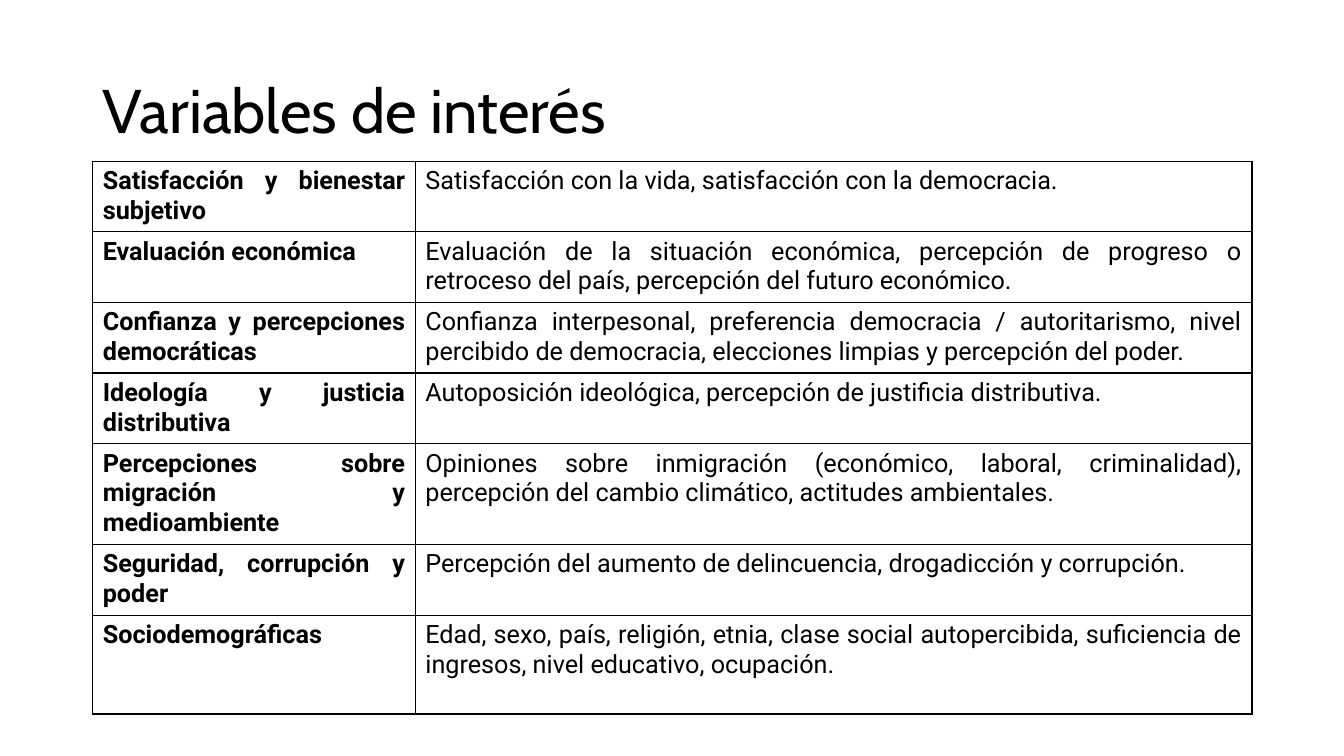
"""Build a slide that lists the survey variables of interest by theme."""
from lxml.etree import SubElement
from pptx import Presentation
from pptx.dml.color import RGBColor
from pptx.enum.text import MSO_ANCHOR as Anchor, PP_ALIGN as Align
from pptx.oxml.ns import qn
from pptx.util import Pt

COLORS = {"ink": "000000", "paper": "FFFFFF"}
LEFT, WIDTH = 66.25, 828
THEME_WIDTH = 230.4
LINE_HEIGHT, CELL_PADDING = 21.15, 7.2

VARIABLES = [
    ("Satisfacción y bienestar subjetivo",
     "Satisfacción con la vida, satisfacción con la democracia.", 2),
    ("Evaluación económica",
     "Evaluación de la situación económica, percepción de progreso o "
     "retroceso del país, percepción del futuro económico.", 2),
    ("Confianza y percepciones democráticas",
     "Confianza interpesonal, preferencia democracia / autoritarismo, nivel "
     "percibido de democracia, elecciones limpias y percepción del poder.", 2),
    ("Ideología y justicia distributiva",
     "Autoposición ideológica, percepción de justificia distributiva.", 2),
    ("Percepciones sobre migración y medioambiente",
     "Opiniones sobre inmigración (económico, laboral, criminalidad), "
     "percepción del cambio climático, actitudes ambientales.", 3),
    ("Seguridad, corrupción y poder",
     "Percepción del aumento de delincuencia, drogadicción y corrupción.", 2),
    ("Sociodemográficas",
     "Edad, sexo, país, religión, etnia, clase social autopercibida, "
     "suficiencia de ingresos, nivel educativo, ocupación.", 3),
]


def set_font(paragraph, name, size, bold=False):
    """Set the typeface, size and weight of a paragraph in ink."""
    font = paragraph.font
    font.name, font.size, font.bold = name, Pt(size), bold
    font.color.rgb = RGBColor.from_string(COLORS["ink"])


def add_title(slide, wording):
    """Add the slide title."""
    frame = slide.shapes.add_textbox(Pt(LEFT), Pt(28.8), Pt(WIDTH), Pt(104.4)).text_frame
    frame.word_wrap = True
    frame.vertical_anchor = Anchor.MIDDLE
    heading = frame.paragraphs[0]
    heading.text = wording
    heading.line_spacing = 0.9
    set_font(heading, "Cabin", 44)


def add_borders(cell):
    """Draw a one-point line on each side of a cell."""
    properties = cell._tc.get_or_add_tcPr()
    for side in ("lnL", "lnR", "lnT", "lnB"):
        border = SubElement(properties, qn(f"a:{side}"), w=str(Pt(1)))
        fill = SubElement(border, qn("a:solidFill"))
        SubElement(fill, qn("a:srgbClr"), val=COLORS["ink"])


def fill_cell(cell, wording, bold):
    """Write justified text into a bordered cell."""
    add_borders(cell)
    cell.fill.solid()
    cell.fill.fore_color.rgb = RGBColor.from_string(COLORS["paper"])
    entry = cell.text_frame.paragraphs[0]
    entry.text = wording
    entry.alignment = Align.JUSTIFY
    set_font(entry, "Roboto", 18, bold)


def add_variables(slide):
    """Add the table of themes and their variables."""
    heights = [lines * LINE_HEIGHT + CELL_PADDING for _, _, lines in VARIABLES]
    grid = slide.shapes.add_table(
        len(VARIABLES), 2, Pt(LEFT), Pt(115.2), Pt(WIDTH), Pt(sum(heights))).table
    grid.first_row = grid.horz_banding = False
    grid.columns[0].width = Pt(THEME_WIDTH)
    grid.columns[1].width = Pt(WIDTH - THEME_WIDTH)
    for index, (theme, variables, _) in enumerate(VARIABLES):
        grid.rows[index].height = Pt(heights[index])
        fill_cell(grid.cell(index, 0), theme, True)
        fill_cell(grid.cell(index, 1), variables, False)


def main():
    """Build and save the presentation."""
    deck = Presentation()
    deck.slide_width, deck.slide_height = Pt(960), Pt(540)
    slide = deck.slides.add_slide(deck.slide_layouts[6])
    add_title(slide, "Variables de interés")
    add_variables(slide)
    deck.save("out.pptx")


if __name__ == "__main__":
    main()
